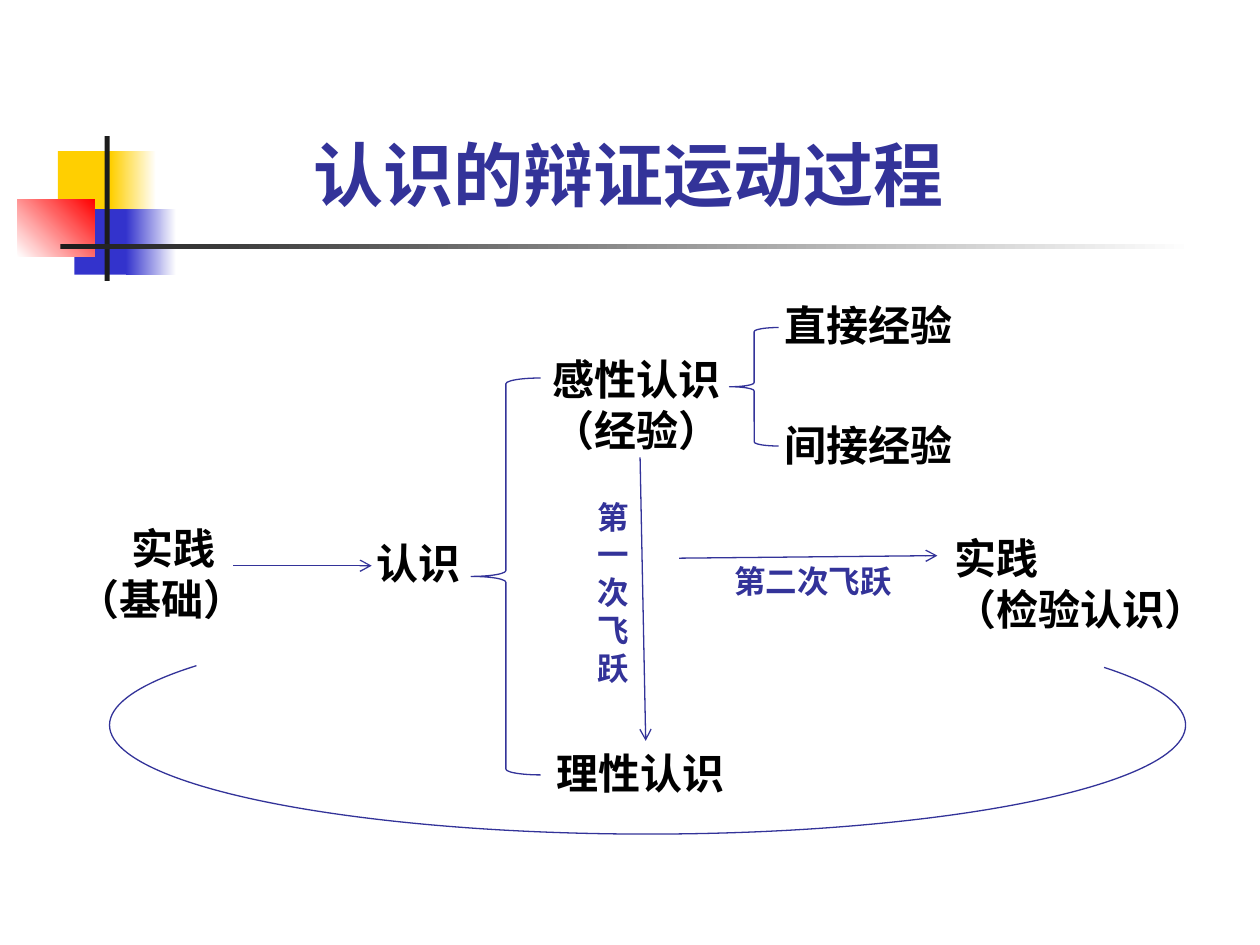
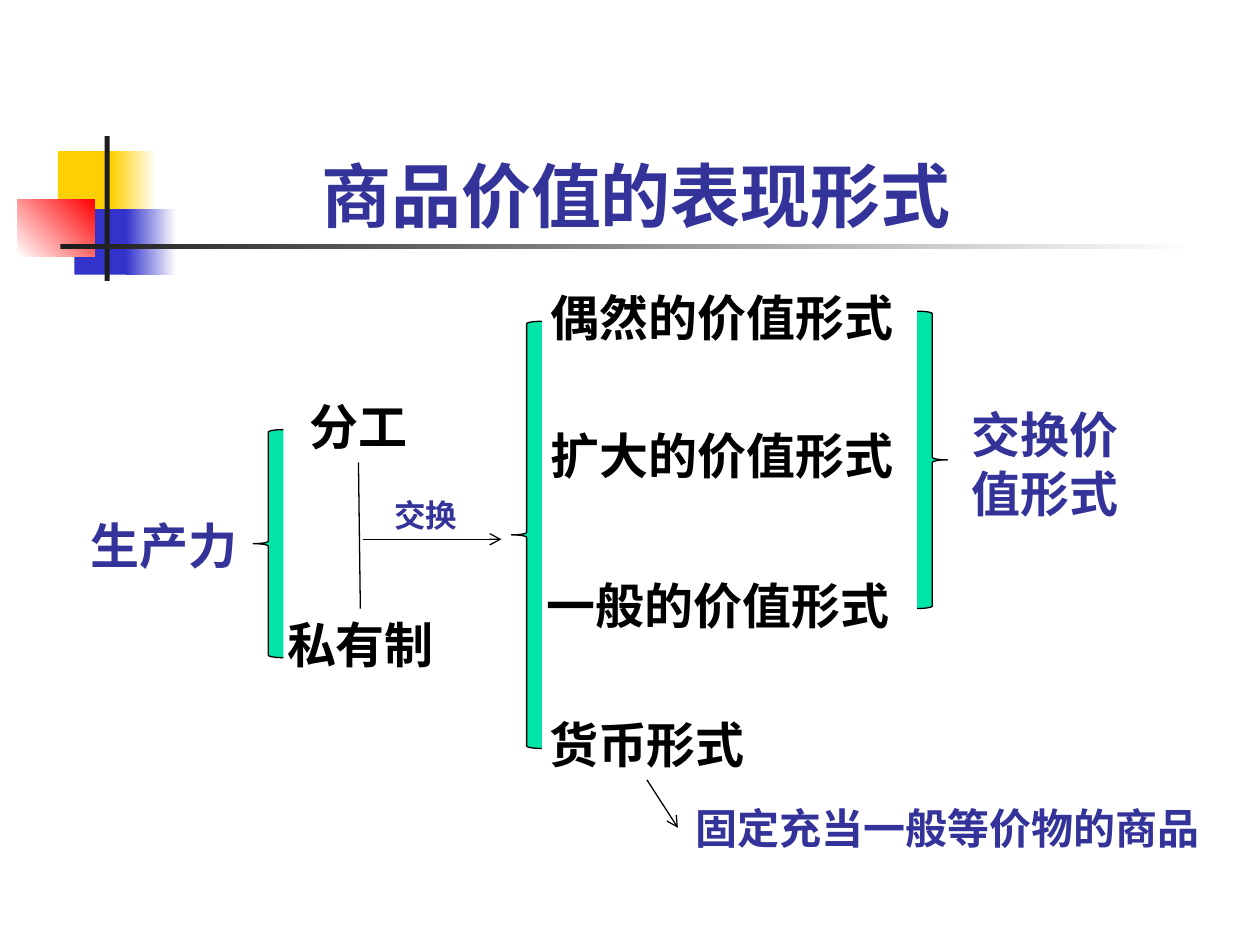
from dataclasses import dataclass

from lxml.etree import SubElement
from pptx import Presentation
from pptx.dml.color import RGBColor
from pptx.enum.shapes import MSO_CONNECTOR as Connector, MSO_SHAPE as Preset
from pptx.enum.text import MSO_ANCHOR as Anchor, MSO_AUTO_SIZE as AutoSize, PP_ALIGN as Align
from pptx.oxml.ns import qn
from pptx.util import Pt

EMU_PER_PX = 9144
TITLE_ONLY = 5
TITLE_WIDTH, TITLE_HEIGHT = 532, 77
TOP, BOTTOM = 0, 2


@dataclass(frozen=True)
class Theme:
    font: str = "Arial"
    ink: str = "000000"
    accent: str = "333399"
    brace: str = "00E4A8"
    yellow: str = "FFCF01"
    blue: str = "3333CC"
    red: str = "FF0000"
    bar: str = "1C1C1C"
    white: str = "FFFFFF"
    title: int = 40
    large: int = 28
    medium: int = 24
    small: int = 18
    line: float = 0.75


THEME = Theme()


@dataclass(frozen=True)
class Box:
    left: int
    top: int
    width: int
    height: int

    def inner(self, left, top, width, height):
        return Box(self.left + left, self.top + top, width, height)

    def point(self, x, y):
        return px(self.left + x), px(self.top + y)

    def emu(self):
        return px(self.left), px(self.top), px(self.width), px(self.height)


def px(length):
    return length * EMU_PER_PX


def rgb(color):
    return RGBColor.from_string(color)


def write_text(shape, text, size=THEME.medium, color=THEME.ink, align=Align.LEFT, wrap=False):
    frame = shape.text_frame
    frame.text = text
    frame.word_wrap = wrap
    frame.auto_size = AutoSize.NONE
    frame.vertical_anchor = Anchor.TOP
    for paragraph in frame.paragraphs:
        paragraph.alignment = align
        for run in paragraph.runs:
            font = run.font
            font.size, font.bold, font.name = Pt(size), True, THEME.font
            font.color.rgb = rgb(color)
            east_asian = SubElement(font._element, qn("a:ea"))
            east_asian.set("typeface", THEME.font)


def add_text(slide, box, text, **text_format):
    shape = slide.shapes.add_textbox(*box.emu())
    write_text(shape, text, **text_format)
    return shape


def add_outline(slide, preset, box, color, fill=None):
    shape = slide.shapes.add_shape(preset, *box.emu())
    shape.shadow.inherit = False
    shape.line.color.rgb = rgb(color)
    shape.line.width = Pt(THEME.line)
    if fill:
        shape.fill.solid()
        shape.fill.fore_color.rgb = rgb(fill)
    else:
        shape.fill.background()
    return shape


def add_line(slide, start, end, color, arrow=True, begin_shape=None, end_shape=None):
    connector = slide.shapes.add_connector(Connector.STRAIGHT, *start, *end)
    connector.line.color.rgb = rgb(color)
    connector.line.width = Pt(THEME.line)
    if arrow:
        SubElement(connector.line._get_or_add_ln(), qn("a:tailEnd")).set("type", "arrow")
    SubElement(connector.element.spPr, qn("a:effectLst"))
    if begin_shape is not None:
        connector.begin_connect(begin_shape, BOTTOM)
    if end_shape is not None:
        connector.end_connect(end_shape, TOP)


def add_block(slide, box, colors, angle=0):
    shape = slide.shapes.add_shape(Preset.RECTANGLE, *box.emu())
    shape.shadow.inherit = False
    shape.line.fill.background()
    if len(colors) == 1:
        shape.fill.solid()
        shape.fill.fore_color.rgb = rgb(colors[0])
    else:
        shape.fill.gradient()
        shape.fill.gradient_angle = angle
        for stop, color in zip(shape.fill.gradient_stops, colors):
            stop.color.rgb = rgb(color)
    return shape


def move_emblem_to_master(slide, master, box):
    blocks = [
        ((32, 12, 48, 52), [THEME.yellow], 0),
        ((74, 12, 36, 52), [THEME.yellow, THEME.white], 0),
        ((45, 58, 46, 52), [THEME.blue], 0),
        ((86, 58, 40, 52), [THEME.blue, THEME.white], 0),
        ((0, 50, 61, 46), [THEME.white, THEME.red], 45),
        ((69, 0, 4, 115), [THEME.bar], 0),
        ((34, 86, 900, 4), [THEME.bar, THEME.white], 0),
    ]
    first_id = len(master.shapes) + 10
    for index, (place, colors, angle) in enumerate(blocks):
        shape = add_block(slide, box.inner(*place), colors, angle)
        shape.element.nvSpPr.cNvPr.set("id", str(first_id + index))
        master.shapes.element.insert(2 + index, shape.element)


def add_titled_slide(presentation, title, left, top):
    slide = presentation.slides.add_slide(presentation.slide_layouts[TITLE_ONLY])
    shape = slide.shapes.title
    box = Box(left, top, TITLE_WIDTH, TITLE_HEIGHT)
    shape.left, shape.top, shape.width, shape.height = box.emu()
    write_text(shape, title, size=THEME.title, color=THEME.accent)
    return slide


def draw_practice(slide, box):
    add_text(slide, box.inner(0, 0, 266, 90), " 实践\n（基础） ", align=Align.CENTER, wrap=True)
    add_line(slide, box.point(185, 39), box.point(295, 39), THEME.accent)
    add_text(slide, box.inner(289, 12, 94, 50), "认识")


def draw_knowledge_levels(slide, box):
    add_outline(slide, Preset.LEFT_BRACE, box.inner(0, 24, 55, 315), THEME.accent)
    add_text(slide, box.inner(55, 0, 203, 90), "感性认识\n（经验）", wrap=True)
    rational = add_text(slide, box.inner(58, 312, 161, 50), "理性认识")
    add_text(slide, box.inner(90, 114, 50, 160), "\n".join("第一次飞跃"),
             size=THEME.small, color=THEME.accent)
    add_line(slide, box.point(134, 87), box.point(138, 312), THEME.accent, end_shape=rational)


def draw_experience(slide, box):
    add_outline(slide, Preset.LEFT_BRACE, box.inner(0, 27, 39, 94), THEME.accent)
    for row, label in enumerate(["直接经验", "间接经验"]):
        add_text(slide, box.inner(34, 95 * row, 161, 50), label)


def draw_second_leap(slide, box):
    add_line(slide, box.point(0, 25), box.point(205, 23), THEME.accent)
    add_text(slide, box.inner(34, 23, 150, 40), "第二次飞跃", size=THEME.small, color=THEME.accent)
    add_text(slide, box.inner(209, 0, 248, 90), "实践\n（检验认识）", wrap=True)


def draw_return_loop(slide, box, start_degrees, end_degrees):
    arc = add_outline(slide, Preset.ARC, box, THEME.accent)
    for index, degrees in enumerate([start_degrees, end_degrees]):
        arc.adjustments[index] = degrees * 0.6


def draw_causes(slide, box):
    add_text(slide, box.inner(-3, 94, 145, 57), " 生产力", size=THEME.large, color=THEME.accent)
    add_outline(slide, Preset.LEFT_BRACE, box.inner(147, 31, 24, 181), THEME.ink, THEME.brace)
    division = add_text(slide, box.inner(182, 0, 97, 57), "分工", size=THEME.large)
    ownership = add_text(slide, box.inner(164, 173, 136, 57), "私有制", size=THEME.large)
    add_line(slide, box.point(231, 57), box.point(232, 173), THEME.ink, arrow=False,
             begin_shape=division, end_shape=ownership)
    add_line(slide, box.point(234, 118), box.point(344, 118), THEME.ink)
    add_text(slide, box.inner(249, 79, 71, 40), "交换", size=THEME.small, color=THEME.accent)


def draw_value_forms(slide, box):
    add_outline(slide, Preset.LEFT_BRACE, box.inner(0, 32, 24, 339), THEME.ink, THEME.brace)
    forms = [(21, 0, "偶然的价值形式"), (21, 110, "扩大的价值形式"), (18, 229, "一般的价值形式")]
    for left, top, label in forms:
        add_text(slide, box.inner(left, top, 292, 57), label, size=THEME.large)
    money = add_text(slide, box.inner(20, 339, 175, 57), "货币形式", size=THEME.large)
    add_line(slide, box.point(107, 396), box.point(132, 434), THEME.ink, begin_shape=money)
    add_text(slide, box.inner(136, 409, 420, 50), "固定充当一般等价物的商品", color=THEME.accent)


def draw_exchange_value(slide, box):
    add_outline(slide, Preset.RIGHT_BRACE, box.inner(0, 0, 24, 236), THEME.ink, THEME.brace)
    add_text(slide, box.inner(33, 69, 136, 104), "交换价\n值形式",
             size=THEME.large, color=THEME.accent)


def build_cognition_slide(presentation):
    slide = add_titled_slide(presentation, "认识的辩证运动过程", 239, 99)
    move_emblem_to_master(slide, presentation.slide_master, Box(14, 108, 934, 115))
    draw_practice(slide, Box(0, 410, 383, 90))
    draw_knowledge_levels(slide, Box(374, 276, 258, 362))
    draw_experience(slide, Box(579, 233, 195, 145))
    draw_second_leap(slide, Box(539, 418, 457, 90))
    draw_return_loop(slide, Box(87, 489, 854, 173), 352.8, 187.5)


def build_value_slide(presentation):
    slide = add_titled_slide(presentation, "商品价值的表现形式", 245, 116)
    draw_causes(slide, Box(54, 310, 344, 230))
    draw_value_forms(slide, Box(406, 223, 556, 459))
    draw_exchange_value(slide, Box(728, 247, 169, 236))


def main():
    presentation = Presentation()
    presentation.slide_width, presentation.slide_height = px(1000), px(750)
    build_cognition_slide(presentation)
    build_value_slide(presentation)
    presentation.save("out.pptx")


if __name__ == "__main__":
    main()
